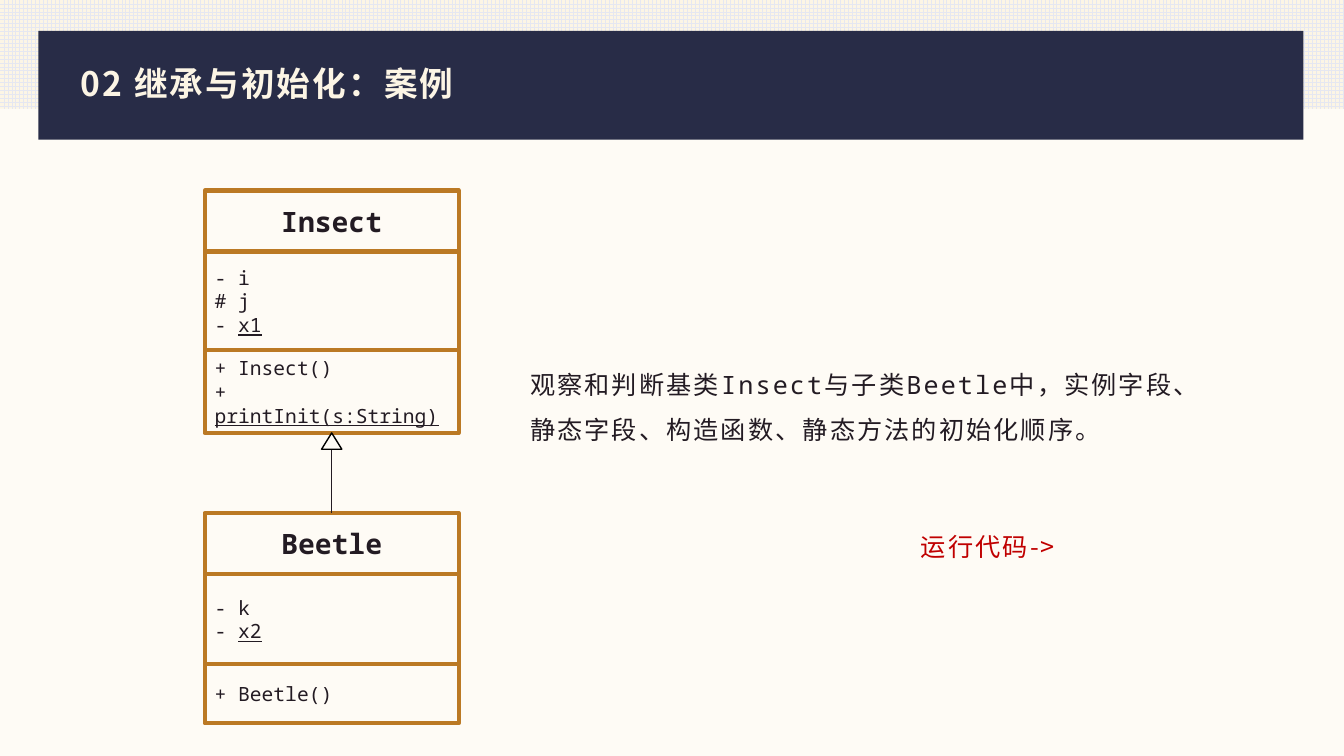
from dataclasses import dataclass

from lxml.etree import SubElement
from pptx import Presentation
from pptx.dml.color import RGBColor
from pptx.enum.dml import MSO_PATTERN
from pptx.enum.shapes import MSO_CONNECTOR, MSO_SHAPE as Shape
from pptx.enum.text import MSO_ANCHOR as Anchor, MSO_AUTO_SIZE as AutoSize, PP_ALIGN as Align
from pptx.oxml.ns import qn
from pptx.util import Cm, Pt


@dataclass(frozen=True)
class Theme:
    paper: str = "FEFBF5"
    cream: str = "FCF5E5"
    grid: str = "E5E7F1"
    navy: str = "282C47"
    bronze: str = "BB7924"
    ink: str = "231B23"
    black: str = "000000"
    red: str = "C00000"
    sans: str = "Noto Sans CJK SC"
    mono: str = "Noto Sans Mono"
    title_size: float = 24
    class_size: float = 20
    body_size: float = 18
    member_size: float = 14
    member_leading: float = 16.8
    body_leading: float = 32


def rgb(value):
    return RGBColor.from_string(value)


class Page:
    """One slide together with the theme that styles its elements."""

    def __init__(self, deck, theme):
        self.theme = theme
        self.slide = deck.slides.add_slide(deck.slide_layouts[5])
        self.shapes = self.slide.shapes
        fill = self.slide.background.fill
        fill.solid()
        fill.fore_color.rgb = rgb(theme.paper)

    def span(self, para, text, color, tracking=0, **formats):
        run = para.add_run()
        run.text = text
        for name, value in formats.items():
            setattr(run.font, name, value)
        run.font.color.rgb = rgb(color)
        properties = run._r.get_or_add_rPr()
        if tracking:
            properties.set("spc", str(int(tracking * 100)))
        SubElement(properties, qn("a:ea")).set("typeface", self.theme.sans)

    def shape(self, kind, left, top, width, height, fill=None, line=None, weight=1):
        box = self.shapes.add_shape(kind, Cm(left), Cm(top), Cm(width), Cm(height))
        box.shadow.inherit = False
        if fill:
            box.fill.solid()
            box.fill.fore_color.rgb = rgb(fill)
        else:
            box.fill.background()
        if line:
            box.line.color.rgb = rgb(line)
            box.line.width = Pt(weight)
        else:
            box.line.fill.background()
        return box

    def title(self, text, left, top, width, height):
        theme, box = self.theme, self.shapes.title
        self.shapes._spTree.append(box._element)
        frame_formats = dict(left=Cm(left), top=Cm(top), width=Cm(width), height=Cm(height))
        for name, value in frame_formats.items():
            setattr(box, name, value)
        box.text_frame.auto_size = AutoSize.NONE
        box.text_frame.vertical_anchor = Anchor.MIDDLE
        para = box.text_frame.paragraphs[0]
        para.alignment = Align.LEFT
        para.line_spacing = 0.9
        self.span(para, text, theme.cream, 1.5, name=theme.sans,
                  size=Pt(theme.title_size), bold=True)

    def text(self, text, left, top, width, height, color, font):
        box = self.shapes.add_textbox(Cm(left), Cm(top), Cm(width), Cm(height))
        box.text_frame.word_wrap = True
        para = box.text_frame.paragraphs[0]
        para.line_spacing = Pt(self.theme.body_leading)
        self.span(para, text, color, 1.5, name=font, size=Pt(self.theme.body_size))

    def compartment(self, members, left, top, width, height, heading=False):
        """Draw one part of a class box; members are (text, static text) pairs."""
        theme = self.theme
        box = self.shape(Shape.RECTANGLE, left, top, width, height,
                         line=theme.bronze, weight=3)
        frame = box.text_frame
        frame.word_wrap = True
        frame.vertical_anchor = Anchor.MIDDLE
        size = theme.class_size if heading else theme.member_size
        formats = dict(name=theme.mono, size=Pt(size), bold=heading)
        for index, (plain, static) in enumerate(members):
            para = frame.add_paragraph() if index else frame.paragraphs[0]
            para.alignment = Align.CENTER if heading else Align.LEFT
            if not heading:
                para.line_spacing = Pt(theme.member_leading)
            self.span(para, plain, theme.ink, **formats)
            if static:
                self.span(para, static, theme.ink, underline=True, **formats)
        return box

    def class_box(self, name, parts, left, top, width):
        """Stack the compartments; return the heading and the bottom edge."""
        height = 1.54
        head = self.compartment([(name, "")], left, top, width, height, heading=True)
        bottom = top + height
        for members, height in parts:
            self.compartment(members, left, bottom, width, height)
            bottom += height
        return head, bottom

    def inheritance(self, child, center, top):
        width, height = 0.51, 0.41
        line = self.shapes.add_connector(MSO_CONNECTOR.STRAIGHT, Cm(center), child.top,
                                         Cm(center), Cm(top + height))
        line.begin_connect(child, 0)
        line.line.color.rgb = rgb(self.theme.ink)
        line.line.width = Pt(0.5)
        SubElement(line._element.spPr, qn("a:effectLst"))
        self.shape(Shape.ISOSCELES_TRIANGLE, center - width / 2, top, width, height,
                   line=self.theme.black)


def main():
    theme = Theme()
    deck = Presentation()
    deck.slide_width, deck.slide_height = Cm(33.87), Cm(19.05)
    page = Page(deck, theme)

    # Header band and title
    band = page.shape(Shape.RECTANGLE, 0, 0, 33.87, 2.74)
    band.fill.patterned()
    band.fill.pattern = MSO_PATTERN.LARGE_GRID
    band.fill.fore_color.rgb = rgb(theme.grid)
    band.fill.back_color.rgb = rgb(theme.cream)
    page.shape(Shape.RECTANGLE, 0.97, 0.78, 31.88, 2.74, fill=theme.navy)
    page.title("02 继承与初始化：案例", 1.78, 1.35, 30.3, 1.63)

    # Class diagram
    left, width = 5.16, 6.4
    insect_parts = [
        ([("- i", ""), ("# j", ""), ("- ", "x1")], 2.49),
        ([("+ Insect()", ""), ("+ ", "printInit(s:String)")], 2.08),
    ]
    beetle_parts = [
        ([("- k", ""), ("- ", "x2")], 2.26),
        ([("+ Beetle()", "")], 1.5),
    ]
    _, insect_bottom = page.class_box("Insect", insect_parts, left, 4.8, width)
    beetle, _ = page.class_box("Beetle", beetle_parts, left, 12.93, width)
    page.inheritance(beetle, left + width / 2, insect_bottom)

    # Task and prompt
    page.text("观察和判断基类Insect与子类Beetle中，实例字段、静态字段、构造函数、静态方法的初始化顺序。",
              13.11, 8.81, 16.74, 3.1, theme.ink, theme.mono)
    page.text("运行代码->", 22.96, 12.9, 4.5, 1.6, theme.red, theme.sans)

    deck.save("out.pptx")


if __name__ == "__main__":
    main()
